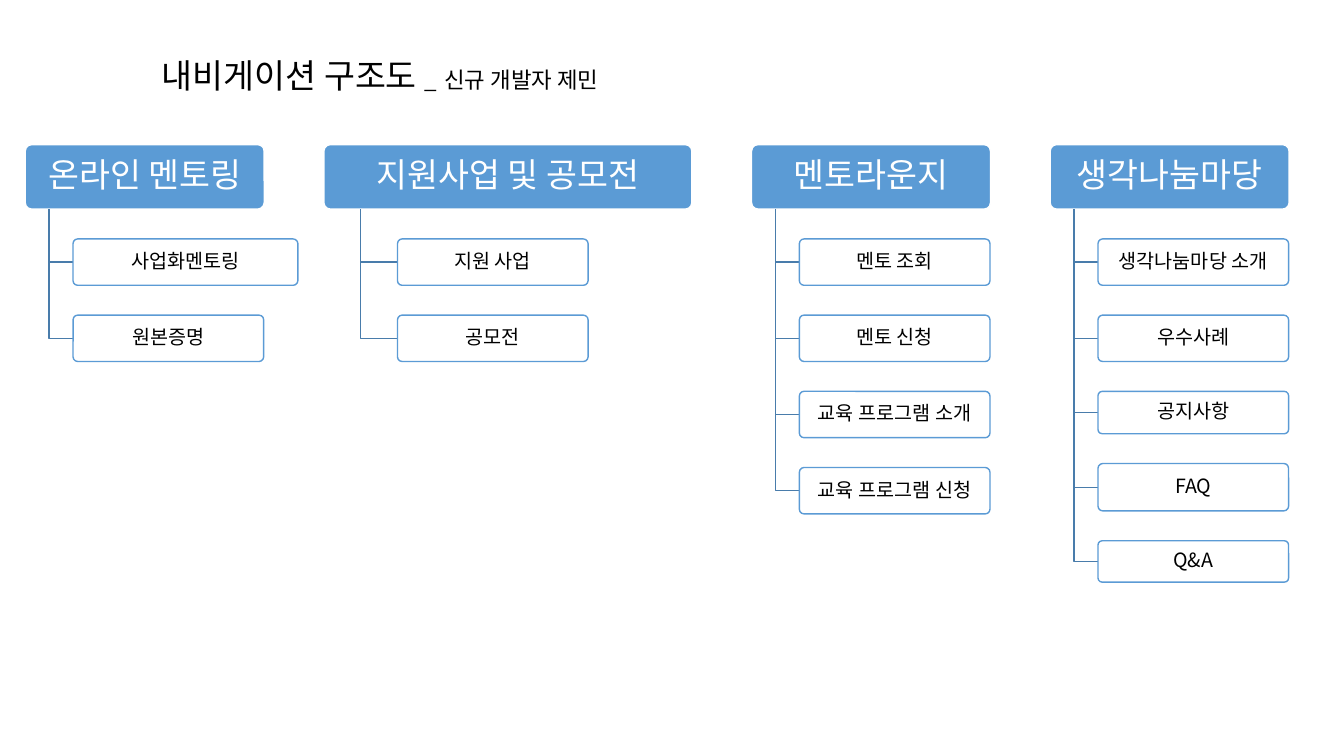
from dataclasses import dataclass

from lxml.etree import SubElement
from pptx import Presentation
from pptx.dml.color import RGBColor
from pptx.enum.shapes import MSO_SHAPE
from pptx.enum.text import MSO_ANCHOR, MSO_AUTO_SIZE, PP_ALIGN
from pptx.oxml.ns import qn
from pptx.shapes.autoshape import Shape
from pptx.slide import Slide
from pptx.text.text import _Run as Run
from pptx.util import Inches, Pt

ROUND = MSO_SHAPE.ROUNDED_RECTANGLE
TOP, MIDDLE = MSO_ANCHOR.TOP, MSO_ANCHOR.MIDDLE
CENTER = PP_ALIGN.CENTER
GROW = MSO_AUTO_SIZE.SHAPE_TO_FIT_TEXT

WIDTH, HEIGHT = Inches(13.33), Inches(7.5)
COL, ROW = WIDTH / 100, HEIGHT / 100

LEFT, HEAD_TOP, HEAD_HIGH = 1.88, 19.13, 8.53
COL_GAP, ROW_GAP = 4.44, 3.95
TRUNK, INDENT = 0.1, 0.2


@dataclass(frozen=True)
class Theme:
    font: str = "Noto Sans CJK KR"
    blue: str = "5B9BD5"
    link: str = "497CAB"
    white: str = "FFFFFF"
    black: str = "000000"
    large: int = 24
    medium: int = 16
    small: int = 14
    line: int = 1


THEME = Theme()


@dataclass(frozen=True)
class Style:
    fill: str
    line: str
    ink: str
    size: int
    alpha: int
    side: float
    edge: float


HEAD = Style(THEME.blue, THEME.white, THEME.white, THEME.large, 100, 0.07, 0.05)
ITEM = Style(THEME.white, THEME.blue, THEME.black, THEME.small, 90, 0.05, 0.04)


@dataclass(frozen=True)
class Box:
    x: float
    y: float
    wide: float
    high: float


@dataclass(frozen=True)
class Node:
    text: str
    wide: float = 14.18
    high: float = 6.13


@dataclass(frozen=True)
class Branch:
    text: str
    nodes: tuple[Node, ...]
    wide: float = 17.78


BRANCHES = (
    Branch("온라인 멘토링", (Node("사업화멘토링", wide=16.73), Node("원본증명"))),
    Branch("지원사업 및 공모전", (Node("지원 사업"), Node("공모전")), wide=27.38),
    Branch("멘토라운지", (
        Node("멘토 조회"),
        Node("멘토 신청"),
        Node("교육 프로그램 소개"),
        Node("교육 프로그램 신청"),
    )),
    Branch("생각나눔마당", (
        Node("생각나눔마당 소개"),
        Node("우수사례"),
        Node("공지사항", high=5.6),
        Node("FAQ", high=6.27),
        Node("Q&A", high=5.47),
    )),
)

TITLE = (
    ("내비게이션 구조도 ", THEME.large),
    ("_", THEME.medium),
    (" ", THEME.large),
    ("신규 개발자 제민", THEME.medium),
)


def color(code: str) -> RGBColor:
    return RGBColor.from_string(code)


def format_run(run: Run, size: int, ink: str) -> None:
    run.font.size = Pt(size)
    run.font.name = THEME.font
    run.font.color.rgb = color(ink)
    SubElement(run.font._element, qn("a:ea"), typeface=THEME.font)


def place(shape: Shape, box: Box) -> None:
    shape.left, shape.top = round(box.x * COL), round(box.y * ROW)
    shape.width, shape.height = round(box.wide * COL), round(box.high * ROW)


def draw_title(slide: Slide) -> None:
    title = slide.shapes.title
    place(title, Box(9.23, 6.6, 38.11, 6.67))
    frame = title.text_frame
    frame.word_wrap = False
    frame.auto_size = GROW
    frame.vertical_anchor = TOP
    line = frame.paragraphs[0]
    line.alignment = CENTER
    for text, size in TITLE:
        run = line.add_run()
        run.text = text
        format_run(run, size, THEME.black)


def draw_box(slide: Slide, box: Box, text: str, style: Style) -> None:
    shape = slide.shapes.add_shape(ROUND, 0, 0, 0, 0)
    place(shape, box)
    shape.adjustments[0] = 0.1
    shape.shadow.inherit = False
    shape.fill.solid()
    shape.fill.fore_color.rgb = color(style.fill)
    if style.alpha < 100:
        tint = shape.element.spPr.find(qn("a:solidFill"))[0]
        SubElement(tint, qn("a:alpha"), val=str(style.alpha * 1000))
    shape.line.color.rgb = color(style.line)
    shape.line.width = Pt(THEME.line)
    frame = shape.text_frame
    frame.word_wrap = True
    frame.vertical_anchor = MIDDLE
    frame.margin_left = frame.margin_right = Inches(style.side)
    frame.margin_top = frame.margin_bottom = Inches(style.edge)
    frame.text = text
    line = frame.paragraphs[0]
    line.alignment = CENTER
    line.line_spacing = 0.9
    format_run(line.runs[0], style.size, style.ink)


def draw_link(slide: Slide, x: float, y: float, box: Box) -> None:
    mid = (box.y + box.high / 2) * ROW
    path = slide.shapes.build_freeform(x * COL, y * ROW)
    path.add_line_segments([(x * COL, mid), (box.x * COL, mid)], close=False)
    link = path.convert_to_shape()
    link.shadow.inherit = False
    link.fill.background()
    link.line.color.rgb = color(THEME.link)
    link.line.width = Pt(THEME.line)


def draw_branch(slide: Slide, branch: Branch, x: float) -> None:
    draw_box(slide, Box(x, HEAD_TOP, branch.wide, HEAD_HIGH), branch.text, HEAD)
    base = HEAD_TOP + HEAD_HIGH
    y = base + ROW_GAP
    for node in branch.nodes:
        box = Box(x + branch.wide * INDENT, y, node.wide, node.high)
        draw_link(slide, x + branch.wide * TRUNK, base, box)
        draw_box(slide, box, node.text, ITEM)
        y += node.high + ROW_GAP


def main() -> None:
    deck = Presentation()
    deck.slide_width, deck.slide_height = WIDTH, HEIGHT
    slide = deck.slides.add_slide(deck.slide_layouts.get_by_name("Title Only"))
    draw_title(slide)
    x = LEFT
    for branch in BRANCHES:
        draw_branch(slide, branch, x)
        x += branch.wide + COL_GAP
    deck.save("out.pptx")


if __name__ == "__main__":
    main()
